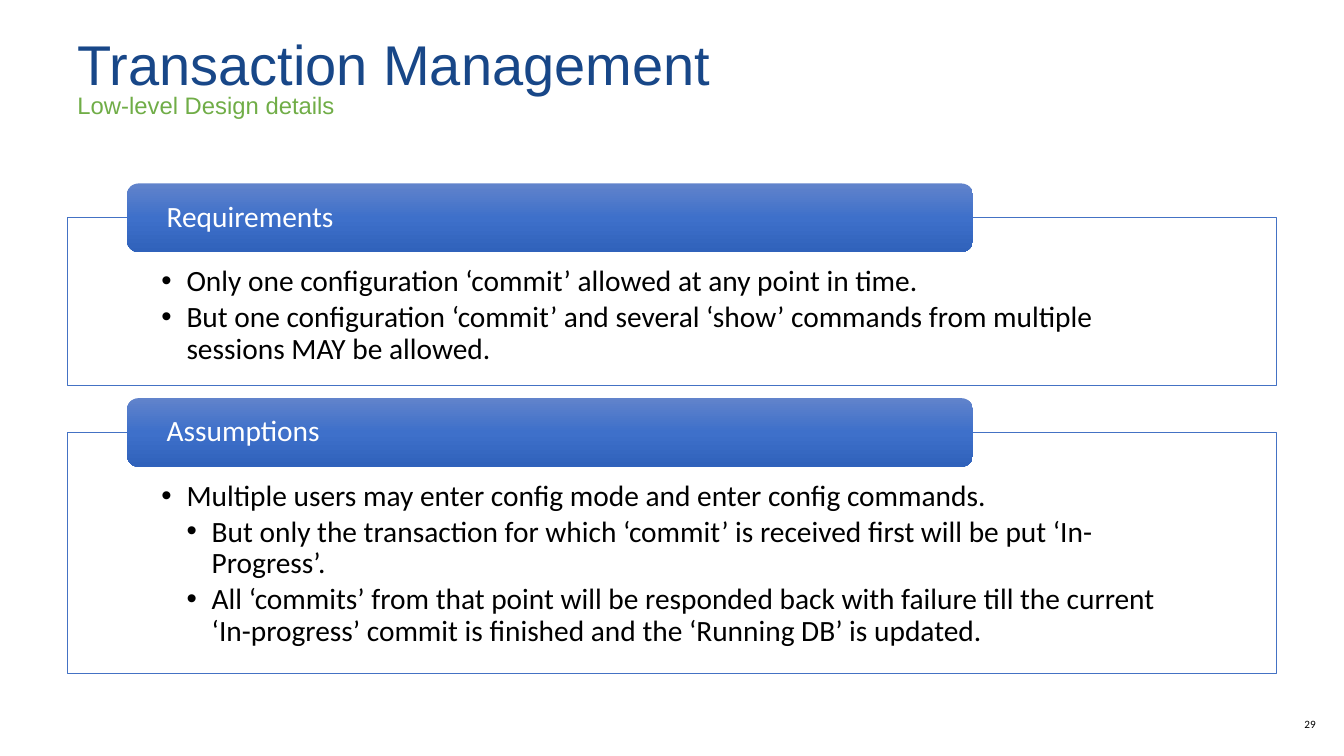
from lxml import etree
from pptx import Presentation
from pptx.dml.color import RGBColor
from pptx.enum.shapes import MSO_SHAPE
from pptx.enum.text import MSO_ANCHOR, PP_ALIGN
from pptx.oxml.ns import qn
from pptx.util import Inches, Pt

COLORS = {
    "title": "184788", "subtitle": "70AD47", "border": "4472C4",
    "white": "FFFFFF", "black": "000000",
    "header_top": "6183CB", "header_middle": "3E70CA", "header_bottom": "3062BB",
}


def set_frame(shape, anchor, left=0.1, top=0.05, right=0.1, bottom=0.05):
    frame = shape.text_frame
    frame.word_wrap = True
    frame.vertical_anchor = anchor
    frame.margin_left, frame.margin_top = Inches(left), Inches(top)
    frame.margin_right, frame.margin_bottom = Inches(right), Inches(bottom)
    return frame


def write(paragraph, text, size, font_name, color, align=PP_ALIGN.LEFT, bullet_indent=None):
    paragraph.alignment = align
    paragraph.line_spacing = 0.9
    if bullet_indent is not None:
        paragraph.space_after = Pt(3)
        properties = paragraph._p.get_or_add_pPr()
        properties.set("marL", str(Inches(bullet_indent)))
        properties.set("indent", str(Inches(-0.25)))
        etree.SubElement(properties, qn("a:buFont"), typeface="Arial")
        etree.SubElement(properties, qn("a:buChar"), char="•")
    run = paragraph.add_run()
    run.text = text
    run.font.size = Pt(size)
    run.font.name = font_name
    run.font.color.rgb = RGBColor.from_string(COLORS[color])


presentation = Presentation()
presentation.slide_width = Inches(13.33)
presentation.slide_height = Inches(7.5)
slide = presentation.slides.add_slide(presentation.slide_layouts[6])

# Title, subtitle and page number
labels = [
    ("Transaction Management", (0.67, 0.3, 11.99, 0.73), 40, "Arial", "title",
     MSO_ANCHOR.MIDDLE, PP_ALIGN.LEFT, 0.1),
    ("Low-level Design details", (0.67, 0.88, 11.99, 0.38), 17, "Arial", "subtitle",
     MSO_ANCHOR.TOP, PP_ALIGN.LEFT, 0.1),
    ("29", (12.57, 6.99, 0.48, 0.4), 8, "Calibri", "black",
     MSO_ANCHOR.MIDDLE, PP_ALIGN.RIGHT, 0),
]
for text, place, size, font_name, color, anchor, align, margin in labels:
    box = slide.shapes.add_textbox(*[Inches(length) for length in place])
    frame = set_frame(box, anchor, left=margin, right=margin)
    write(frame.paragraphs[0], text, size, font_name, color, align)

# Sections: a bordered panel with a header bar over its top edge
sections = [
    ("Requirements", 2.16, 1.66, [
        (1, "Only one configuration ‘commit’ allowed at any point in time."),
        (1, "But one configuration ‘commit’ and several ‘show’ commands from multiple "
            "sessions MAY be allowed."),
    ]),
    ("Assumptions", 4.29, 2.39, [
        (1, "Multiple users may enter config mode and enter config commands."),
        (2, "But only the transaction for which ‘commit’ is received first will be put "
            "‘In-Progress’."),
        (2, "All ‘commits’ from that point will be responded back with failure till the "
            "current ‘In-progress’ commit is finished and the ‘Running DB’ is updated."),
    ]),
]
gradient_stops = [(0, "header_top"), (50, "header_middle"), (100, "header_bottom")]

for heading, top, height, points in sections:
    # Panel with bullets
    panel = slide.shapes.add_shape(
        MSO_SHAPE.RECTANGLE, Inches(0.67), Inches(top), Inches(11.99), Inches(height))
    panel.shadow.inherit = False
    panel.fill.solid()
    panel.fill.fore_color.rgb = RGBColor.from_string(COLORS["white"])
    panel.line.color.rgb = RGBColor.from_string(COLORS["border"])
    panel.line.width = Pt(0.5)
    frame = set_frame(panel, MSO_ANCHOR.TOP, 0.93, 0.48, 0.93, 0.16)
    for index, (level, text) in enumerate(points):
        paragraph = frame.paragraphs[0] if index == 0 else frame.add_paragraph()
        paragraph.level = level
        write(paragraph, text, 21, "Calibri", "black", bullet_indent=0.25 * level)

    # Header bar
    header = slide.shapes.add_shape(
        MSO_SHAPE.ROUNDED_RECTANGLE, Inches(1.26), Inches(top - 0.34), Inches(8.39), Inches(0.68))
    header.shadow.inherit = False
    header.line.fill.background()
    header.fill.gradient()
    header.fill.gradient_angle = 270
    stop_list = header._element.spPr.find(qn("a:gradFill")).find(qn("a:gsLst"))
    for stop in list(stop_list):
        stop_list.remove(stop)
    for percent, color in gradient_stops:
        stop = etree.SubElement(stop_list, qn("a:gs"), pos=str(percent * 1000))
        etree.SubElement(stop, qn("a:srgbClr"), val=COLORS[color])
    frame = set_frame(header, MSO_ANCHOR.MIDDLE, 0.36, 0, 0.36, 0)
    write(frame.paragraphs[0], heading, 21, "Calibri", "white")

presentation.save("out.pptx")
